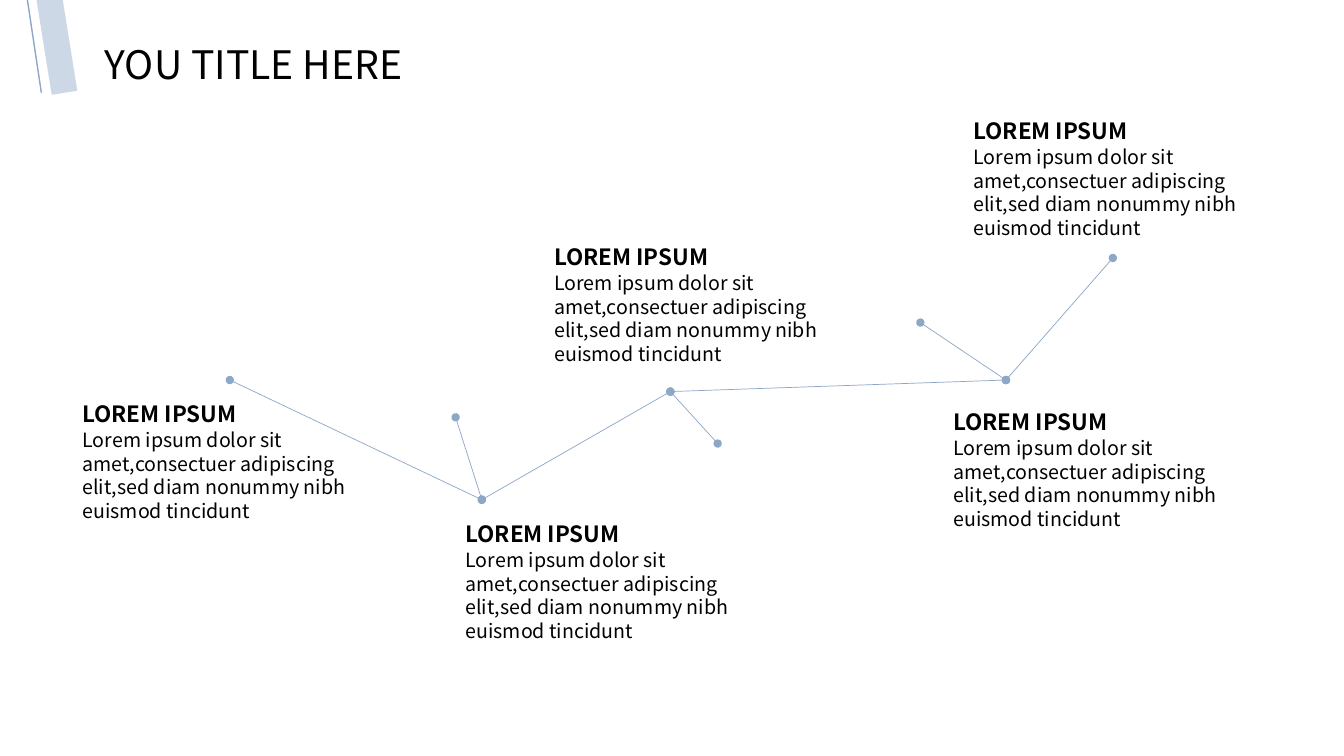
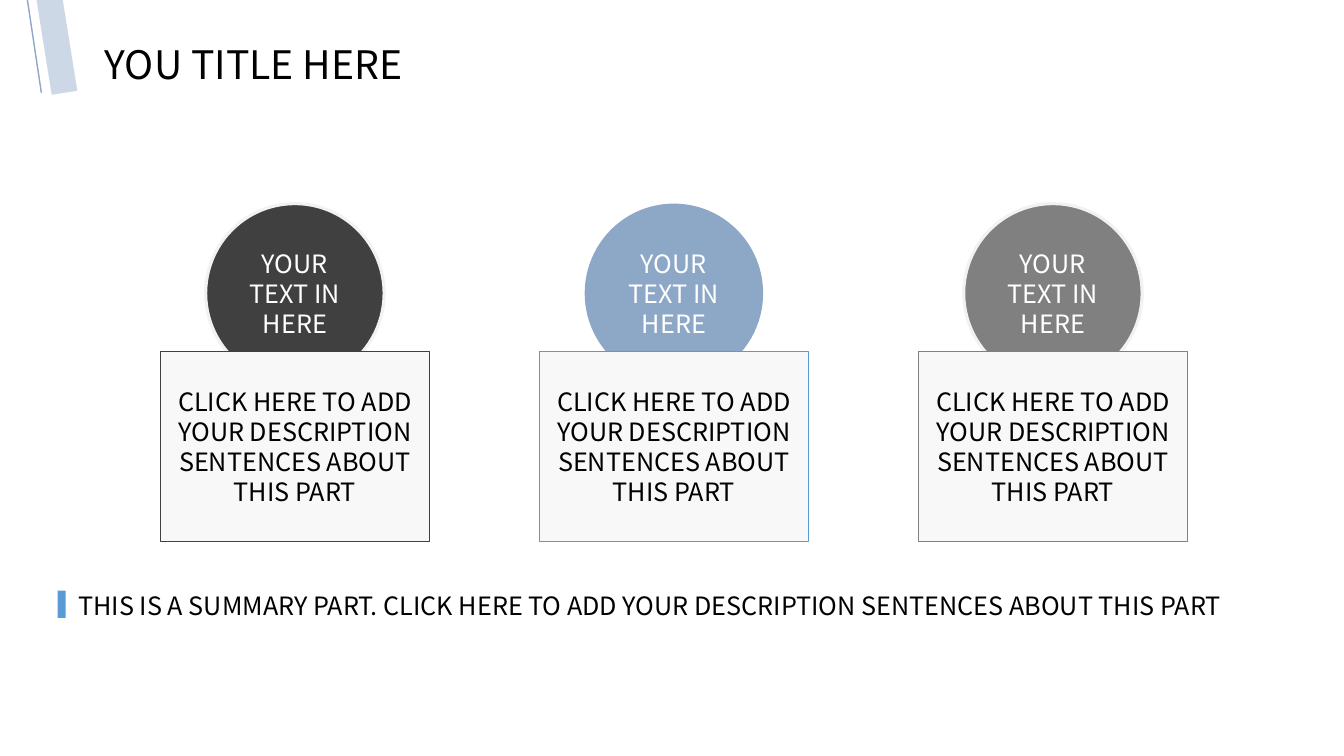
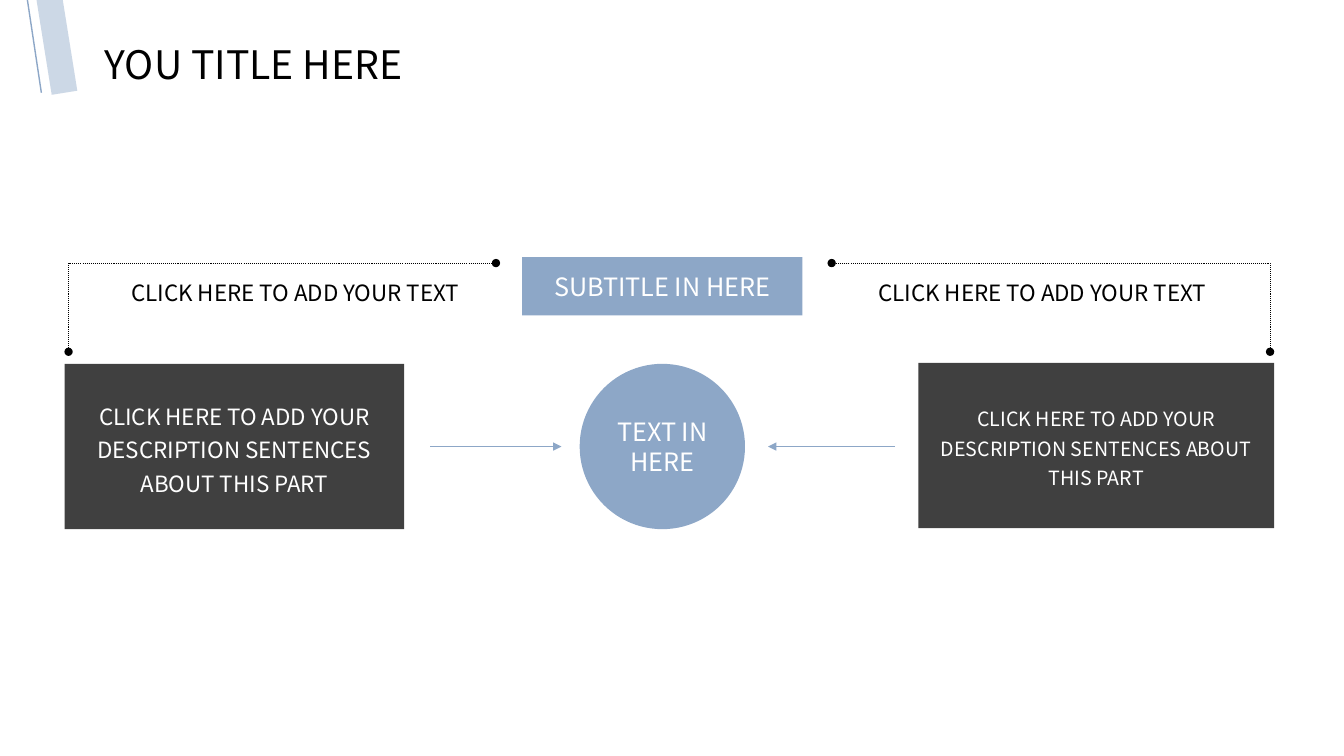
from lxml.etree import SubElement
from pptx import Presentation
from pptx.dml.color import RGBColor
from pptx.enum.dml import MSO_LINE as Dash
from pptx.enum.shapes import MSO_CONNECTOR as Connector, MSO_SHAPE as Shape
from pptx.enum.text import MSO_ANCHOR as Anchor, MSO_AUTO_SIZE as AutoSize, PP_ALIGN as Align
from pptx.oxml.ns import qn
from pptx.util import Inches, Pt

FONT = "Noto Sans CJK SC"
BLUE, BRIGHT, DARK, GREY = "8DA7C7", "5B9BD5", "404040", "808080"
PALE, RIM, BLACK, WHITE = "F8F8F8", "F2F2F2", "000000", "FFFFFF"
DESCRIPTION = "CLICK HERE TO ADD YOUR DESCRIPTION SENTENCES ABOUT THIS PART"
rgb = RGBColor.from_string

deck = Presentation()
deck.slide_width, deck.slide_height = Inches(13.33), Inches(7.5)
# The grid has 100 columns and 100 rows.
COL, ROW = deck.slide_width / 100, deck.slide_height / 100


def write(shape, cells, text="", size=18, color=BLACK, bold=False, align=Align.LEFT,
          anchor=Anchor.TOP, wrap=True, spacing=None, fill=None, line=None, line_width=0.75):
    """Place a shape on grid cells (left, top, width, height), then fill it and set its text."""
    left, top, width, height = cells
    shape.left, shape.top = int(left * COL), int(top * ROW)
    shape.width, shape.height = int(width * COL), int(height * ROW)
    if fill:
        shape.shadow.inherit = False
        shape.fill.solid()
        shape.fill.fore_color.rgb = rgb(fill)
        if line:
            shape.line.color.rgb = rgb(line)
            shape.line.width = Pt(line_width)
        else:
            shape.line.fill.background()
    if not text:
        return
    frame = shape.text_frame
    frame.text = text
    frame.auto_size = AutoSize.NONE
    frame.word_wrap = wrap
    frame.vertical_anchor = anchor
    paragraph = frame.paragraphs[0]
    paragraph.alignment = align
    paragraph.line_spacing = spacing
    font = paragraph.runs[0].font
    font.name, font.size, font.bold = FONT, Pt(size), bold
    font.color.rgb = rgb(color)


def draw_path(slide, points, color=BLUE, width=0.75, head=None, tail=None, dash=None, alpha=None):
    """Draw a straight line through two grid points, or a bent one through more."""
    (x, y), *others = [(int(col * COL), int(row * ROW)) for col, row in points]
    if len(others) == 1:
        path = slide.shapes.add_connector(Connector.STRAIGHT, x, y, *others[0])
        SubElement(path.element.spPr, qn("a:effectLst"))
    else:
        builder = slide.shapes.build_freeform(x, y)
        builder.add_line_segments(others, close=False)
        path = builder.convert_to_shape()
        path.shadow.inherit = False
        path.fill.background()
    path.line.width = Pt(width)
    path.line.color.rgb = rgb(color)
    if dash:
        path.line.dash_style = dash
    stroke = path.element.spPr.find(qn("a:ln"))
    if alpha:
        SubElement(stroke.find(".//" + qn("a:srgbClr")), qn("a:alpha"), val=str(alpha * 1000))
    for tag, end in (("a:headEnd", head), ("a:tailEnd", tail)):
        if end:
            SubElement(stroke, qn(tag), type=end)
    return path


title_only = deck.slide_layouts[5]
timeline, cards, flow = slides = [deck.slides.add_slide(title_only) for _ in range(3)]
for slide in slides:
    write(slide.shapes.title, (7.05, 4.67, 36.38, 7.6), "YOU TITLE HERE", size=28,
          anchor=Anchor.MIDDLE)

# The slanted accents belong to the shared layout.
for start, end, width, alpha in (((1.95, -1.07), (3.08, 12.27), 1, None),
                                 ((3.6, -1.07), (4.8, 12.27), 18.5, 44)):
    accent = draw_path(timeline, (start, end), width=width, alpha=alpha)
    title_only.shapes.element.append(accent.element)

# Timeline
valley, middle, junction = (35.85, 66.1), (49.88, 51.8), (74.85, 50.27)
for link in (((17.1, 50.27), valley), (middle, valley), (middle, junction),
             ((82.8, 34.13), junction), ((68.48, 42.67), junction),
             (middle, (53.4, 58.67)), ((33.9, 55.2), valley)):
    draw_path(timeline, link, width=0.5, head="oval", tail="oval")

for left, top in ((5.4, 52.27), (33.9, 68.13), (40.5, 31.47), (70.2, 53.33), (71.7, 14.8)):
    heading = timeline.shapes.add_textbox(0, 0, 0, 0)
    write(heading, (left, top, 14.63, 4.93), "LOREM IPSUM", size=16, bold=True)
    body = timeline.shapes.add_textbox(0, 0, 0, 0)
    write(body, (left, top + 3.73, 22.88, 13.87),
          "Lorem ipsum dolor sit amet,consectuer adipiscing elit,"
          "sed diam nonummy nibh euismod tincidunt", size=14)

# Cards
CARD_WIDTH, BADGE_WIDTH = 20.03, 13.28
centred = dict(align=Align.CENTER, anchor=Anchor.MIDDLE)
for index, (color, rim, border) in enumerate(((DARK, RIM, DARK), (BLUE, None, BRIGHT),
                                              (GREY, RIM, GREY))):
    left = 11.93 + 28.2 * index
    badge = cards.shapes.add_shape(Shape.OVAL, 0, 0, 0, 0)
    write(badge, (left + (CARD_WIDTH - BADGE_WIDTH) / 2, 26.93, BADGE_WIDTH, 23.73),
          "YOUR TEXT IN HERE", color=WHITE, fill=color, line=rim, line_width=2.25, **centred)
    card = cards.shapes.add_shape(Shape.RECTANGLE, 0, 0, 0, 0)
    write(card, (left, 46.53, CARD_WIDTH, 25.07), DESCRIPTION, fill=PALE, line=border, **centred)

summary = cards.shapes.add_textbox(0, 0, 0, 0)
write(summary, (5.1, 77.47, 92.25, 5.33), "THIS IS A SUMMARY PART. " + DESCRIPTION)
summary_mark = cards.shapes.add_shape(Shape.RECTANGLE, 0, 0, 0, 0)
write(summary_mark, (4.28, 78.13, 0.6, 3.6), fill=BRIGHT)

# Flow
for outer, inner in ((5.1, 36.9), (94.5, 61.88)):
    draw_path(flow, ((outer, 46.53), (outer, 34.8), (inner, 34.8)), color=BLACK,
              head="oval", tail="oval", dash=Dash.ROUND_DOT)

for start, end in ((32.03, 41.78), (66.6, 57.15)):
    draw_path(flow, ((start, 59.07), (end, 59.07)), tail="triangle")

for kind, cells, text, color, style in (
        (Shape.RECTANGLE, (38.85, 34, 20.85, 7.73), "SUBTITLE IN HERE", BLUE, dict(wrap=False)),
        (Shape.RECTANGLE, (4.8, 48.13, 25.28, 21.87), DESCRIPTION, DARK,
         dict(size=16, spacing=1.25)),
        (Shape.RECTANGLE, (68.33, 48, 26.48, 21.87), DESCRIPTION, DARK,
         dict(size=14, spacing=1.25)),
        (Shape.OVAL, (43.13, 48.13, 12.3, 21.87), "TEXT IN HERE", BLUE, {})):
    step = flow.shapes.add_shape(kind, 0, 0, 0, 0)
    write(step, cells, text, color=WHITE, fill=color, **centred, **style)

for left in (6.3, 61.88):
    label = flow.shapes.add_textbox(0, 0, 0, 0)
    write(label, (left, 36.27, 31.35, 4.93), "CLICK HERE TO ADD YOUR TEXT", size=16,
          align=Align.CENTER)

deck.save("out.pptx")
